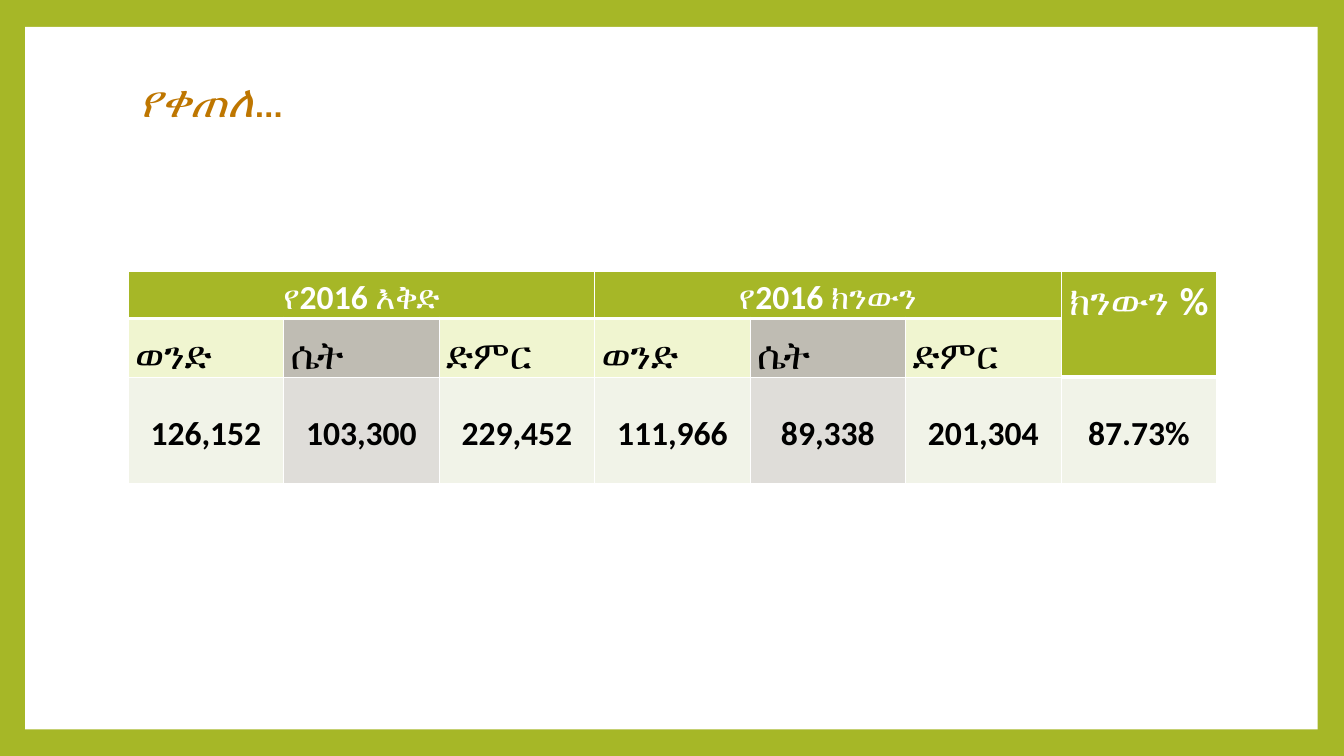
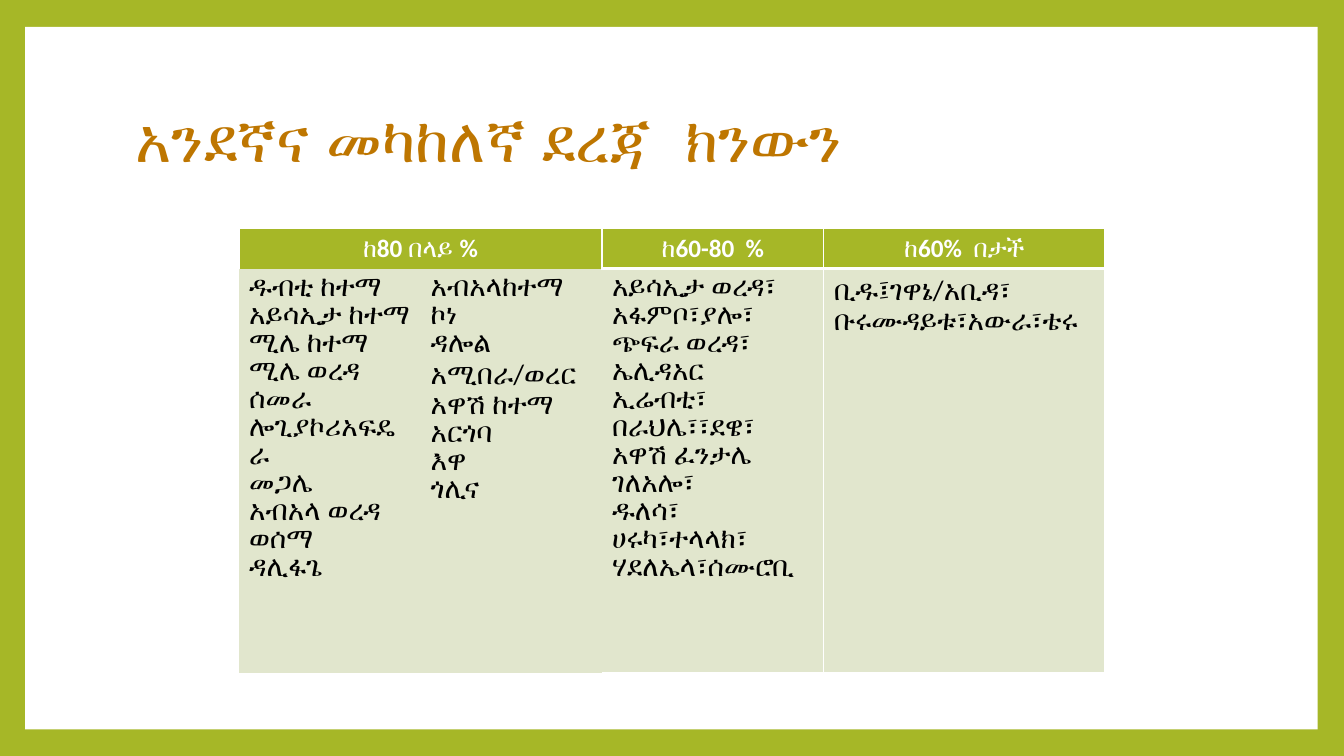
"""Builds two slides of plan results, each a title over a table."""
from dataclasses import dataclass

from lxml import etree
from pptx import Presentation, util as u
from pptx.dml.color import RGBColor
from pptx.enum import shapes, text
from pptx.oxml import ns

MID = text.MSO_ANCHOR.MIDDLE
TOP = text.MSO_ANCHOR.TOP
LEFT = text.PP_ALIGN.LEFT
JUST = text.PP_ALIGN.JUSTIFY
CENTER = text.PP_ALIGN.CENTER

THIN = dict(L=1, R=1, T=1, B=1)
HEAD = dict(THIN, B=3)


@dataclass(frozen=True)
class Theme:
    """Holds the colours, the font and the type sizes."""
    font: str = "Calibri"
    green: str = "A6B727"
    white: str = "FFFFFF"
    black: str = "000000"
    amber: str = "BE7600"
    lime: str = "F0F5D0"
    stone: str = "BFBCB3"
    pale: str = "F1F3E8"
    mist: str = "DFDDD9"
    sage: str = "E1E6CD"
    small: int = 18
    body: int = 20
    mid: int = 24
    large: int = 28
    title: int = 32
    huge: int = 44


class Deck:
    """Holds the theme and the current slide."""

    def __init__(self, theme):
        """Starts a wide deck."""
        self.theme = theme
        self.deck = Presentation()
        self.deck.slide_width, self.deck.slide_height = u.Pt(960), u.Pt(540)
        self.slide = None

    def page(self):
        """Adds a slide with a white panel in a green frame."""
        self.slide = self.deck.slides.add_slide(self.deck.slide_layouts[6])
        self.paint(self.slide.background.fill, self.theme.green)
        panel = self.slide.shapes.add_shape(
            shapes.MSO_SHAPE.RECTANGLE, *map(u.Pt, (18, 19.2, 923.3, 501.9)))
        panel.shadow.inherit = False
        self.paint(panel.fill, self.theme.white)
        panel.line.fill.background()

    def paint(self, fill, color):
        """Fills with one colour."""
        fill.solid()
        fill.fore_color.rgb = RGBColor.from_string(color)

    def ink(self, run, size, color, bold=False, slant=False):
        """Formats one run."""
        font = run.font
        font.name, font.size = self.theme.font, u.Pt(size)
        font.bold, font.italic = bold, slant
        font.color.rgb = RGBColor.from_string(color)

    def title(self, box, size, words, slant=False, tail=""):
        """Adds a bold title with an optional plain tail."""
        frame = self.slide.shapes.add_textbox(*map(u.Pt, box)).text_frame
        frame.word_wrap, frame.vertical_anchor = True, MID
        frame.text = words
        line = frame.paragraphs[0]
        line.line_spacing = 0.9
        self.ink(line.runs[0], size, self.theme.amber, True, slant)
        if tail:
            run = line.add_run()
            run.text = tail
            self.ink(run, size, self.theme.amber)

    def grid(self, left, top, cols, rows):
        """Adds a plain table with the given column and row sizes."""
        box = map(u.Pt, (left, top, sum(cols), sum(rows)))
        table = self.slide.shapes.add_table(len(rows), len(cols), *box).table
        table.first_row = table.horz_banding = False
        for col, size in zip(table.columns, cols):
            col.width = u.Pt(size)
        for row, size in zip(table.rows, rows):
            row.height = u.Pt(size)
        return table

    def edge(self, cell, sides):
        """Draws the named sides of a cell and clears the others."""
        props = cell._tc.get_or_add_tcPr()
        for side in "LRTB":
            line = etree.SubElement(props, ns.qn("a:ln" + side))
            if side not in sides:
                etree.SubElement(line, ns.qn("a:noFill"))
                continue
            line.set("w", str(u.Pt(sides[side])))
            fill = etree.SubElement(line, ns.qn("a:solidFill"))
            etree.SubElement(fill, ns.qn("a:srgbClr"), val=self.theme.white)

    def cell(self, cell, words, fill, size, color, bold=False, align=LEFT,
             space=None, anchor=TOP, sides=THIN, tight=False):
        """Fills one table cell and sets its text."""
        self.edge(cell, sides)
        self.paint(cell.fill, fill)
        cell.vertical_anchor = anchor
        if tight:
            cell.margin_left = cell.margin_right = u.Pt(5)
            cell.margin_top = cell.margin_bottom = 0
        if cell.is_spanned:
            return
        cell.text_frame.text = words
        for line in cell.text_frame.paragraphs:
            line.alignment = align
            if space:
                line.line_spacing = space
            for run in line.runs:
                self.ink(run, size, color, bold)

    def save(self):
        """Writes the file."""
        self.deck.save("out.pptx")


def totals(deck):
    """Builds the slide of plan and result totals."""
    look = deck.theme
    deck.page()
    table = deck.grid(91.6, 193.8, [777.6 / 7] * 7, [24.5, 35.3, 76.3])
    for start, end in (((0, 0), (0, 2)), ((0, 3), (0, 5)), ((0, 6), (1, 6))):
        table.cell(*start).merge(table.cell(*end))
    heads = {0: "የ2016 እቅድ", 3: "የ2016 ክንውን", 6: "ክንውን %"}
    kinds = ["ወንድ", "ሴት", "ድምር"] * 2
    sums = ["126,152", "103,300", "229,452", "111,966", "89,338", "201,304",
            "87.73%"]
    top = dict(bold=True, align=CENTER, space=1.15, sides=HEAD, tight=True)
    for col, total in enumerate(sums):
        last, dark = col == 6, col % 3 == 1
        size = look.large if last else look.mid
        deck.cell(table.cell(0, col), heads.get(col, ""), look.green, size,
                  look.white, **top)
        if last:
            deck.cell(table.cell(1, col), "", look.green, size, look.white,
                      **top)
        else:
            deck.cell(table.cell(1, col), kinds[col],
                      look.stone if dark else look.lime, look.large,
                      look.black, align=JUST, space=1.5, tight=True)
        deck.cell(table.cell(2, col), total, look.mist if dark else look.pale,
                  look.mid, look.black, True, CENTER, 1.15, MID, tight=True)
    deck.title((91.6, 47.5, 777.6, 51.8), look.title, "የቀጠለ", True, "…")


def levels(deck):
    """Builds the slide of places by level of result."""
    look = deck.theme
    deck.page()
    deck.title((90, 48.2, 777.6, 106.6), look.huge,
               "አንደኛና መካከለኛ ደረጃ  ክንውን")
    table = deck.grid(170.8, 163, [129.6, 129.6, 158.4, 200.9], [28.4, 288.7])
    table.cell(0, 0).merge(table.cell(0, 1))
    heads = ["ከ80 በላይ %", "", "ከ60-80  %", "ከ60%  በታች"]
    lists = [
        ["ዱብቲ ከተማ", "አይሳኢታ ከተማ", "ሚሌ ከተማ", "ሚሌ ወረዳ",
         "ሰመራ ሎጊያኮሪአፍዴራ", "መጋሌ", "አብአላ ወረዳ", "ወሰማ", "ዳሊፋጌ"],
        ["አብአላከተማ", "ኮነ", "ዳሎል", "አሚበራ/ወረር", "አዋሽ ከተማ", "አርጎባ",
         "እዋ", "ጎሊና"],
        ["አይሳኢታ ወረዳ፣", "አፋምቦ፣ያሎ፣", "ጭፍራ ወረዳ፣", "ኤሊዳአር", "ኢሬብቲ፣",
         "በራህሌ፣፣ደዌ፣", "አዋሽ ፈንታሌ", "ገለአሎ፣", "ዱለሳ፣", "ሀሩካ፣ተላላክ፣",
         "ሃደለኤላ፣ሰሙሮቢ"],
        ["ቢዱ፤ገዋኔ/አቢዳ፣ ቡሩሙዳይቱ፣አውራ፣ቴሩ"],
    ]
    sides = [{}, {}, dict(T=1, R=1, B=1), THIN]
    for col, (head, names) in enumerate(zip(heads, lists)):
        wide = col < 2
        deck.cell(table.cell(0, col), head, look.green, look.small, look.white,
                  True, CENTER, sides=dict(L=1, T=1, R=1) if wide else HEAD)
        deck.cell(table.cell(1, col), "\n".join(names), look.sage, look.body,
                  look.black, align=JUST if wide else LEFT, sides=sides[col])


def main():
    """Builds and saves the deck."""
    deck = Deck(Theme())
    totals(deck)
    levels(deck)
    deck.save()


if __name__ == "__main__":
    main()
